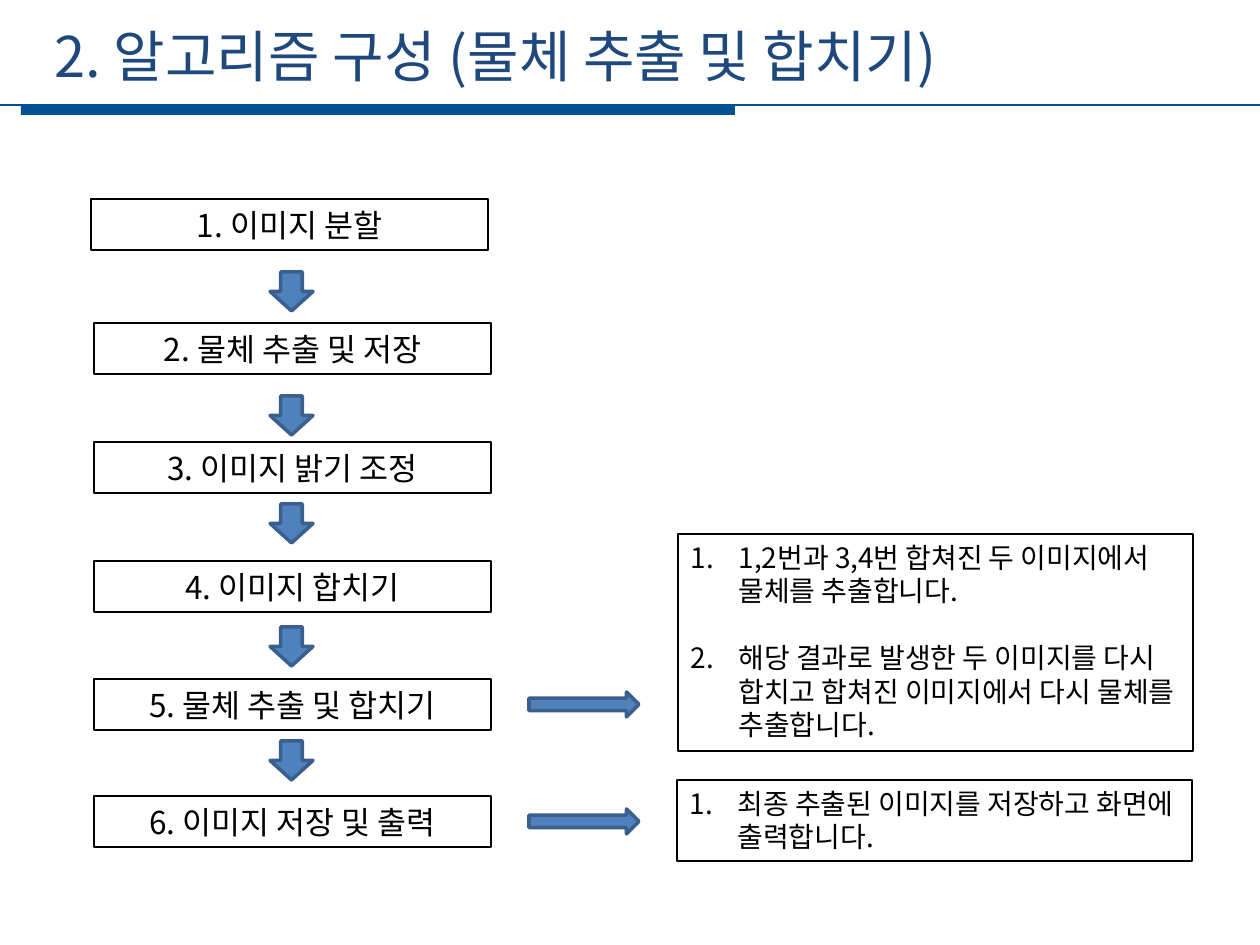
from lxml import etree
from pptx import Presentation
from pptx.dml.color import RGBColor
from pptx.enum.shapes import MSO_CONNECTOR, MSO_SHAPE
from pptx.enum.text import MSO_ANCHOR, MSO_AUTO_SIZE, PP_ALIGN
from pptx.oxml.ns import qn
from pptx.util import Emu, Pt

RECTANGLE, DOWN, RIGHT = MSO_SHAPE.RECTANGLE, MSO_SHAPE.DOWN_ARROW, MSO_SHAPE.RIGHT_ARROW
STRAIGHT = MSO_CONNECTOR.STRAIGHT
LEFT_ALIGNED, CENTERED = PP_ALIGN.LEFT, PP_ALIGN.CENTER
TOP, MIDDLE = MSO_ANCHOR.TOP, MSO_ANCHOR.MIDDLE
NO_FIT = MSO_AUTO_SIZE.NONE

NAVY = RGBColor(0x1F, 0x49, 0x7D)
RULE_BLUE = RGBColor(0x00, 0x50, 0x94)
ARROW_BLUE = RGBColor(0x4F, 0x81, 0xBD)
ARROW_EDGE = RGBColor(0x3A, 0x5F, 0x8C)
BLACK = RGBColor(0, 0, 0)

FONT = "Noto Sans CJK KR"
PX = 914400 / 126
TWO_CONTENT = 3

STEPS = [
    (91, 199, "1. 이미지 분할"),
    (94, 323, "2. 물체 추출 및 저장"),
    (94, 442, "3. 이미지 밝기 조정"),
    (94, 561, "4. 이미지 합치기"),
    (94, 679, "5. 물체 추출 및 합치기"),
    (94, 796, "6. 이미지 저장 및 출력"),
]
DOWN_ARROW_TOPS = [272, 396, 504, 627, 741]
EXPLAINED_STEPS = STEPS[-2:]
NOTES = [
    ((678, 534, 515, 217), [
        "1,2번과 3,4번 합쳐진 두 이미지에서 물체를 추출합니다.",
        "해당 결과로 발생한 두 이미지를 다시 합치고 합쳐진 이미지에서 다시 물체를 추출합니다.",
    ]),
    ((677, 780, 515, 81), ["최종 추출된 이미지를 저장하고 화면에 출력합니다."]),
]


def px(length):
    return Emu(round(length * PX))


class FlowSlide:
    """Draws the parts of a flow chart on one slide in a shared style."""

    def __init__(self, slide):
        self.slide = slide

    def place(self, shape, box):
        shape.left, shape.top, shape.width, shape.height = map(px, box)

    def add_wording(self, paragraph, wording, size, color, align):
        paragraph.alignment = align
        run = paragraph.add_run()
        run.text = wording
        run.font.size = Pt(size)
        run.font.name = FONT
        run.font.color.rgb = color
        etree.SubElement(run.font._element, qn("a:ea"), typeface=FONT)

    def frame(self, shape, anchor):
        text_frame = shape.text_frame
        text_frame.word_wrap = True
        text_frame.auto_size = NO_FIT
        text_frame.vertical_anchor = anchor
        return text_frame

    def outline(self, shape, color, width):
        shape.line.color.rgb = color
        shape.line.width = Pt(width)

    def title(self, box, wording):
        heading = self.slide.shapes.title
        self.place(heading, box)
        paragraph = self.frame(heading, MIDDLE).paragraphs[0]
        self.add_wording(paragraph, wording, 32, NAVY, LEFT_ALIGNED)

    def block(self, preset, box, fill=None):
        shape = self.slide.shapes.add_shape(preset, *map(px, box))
        shape.shadow.inherit = False
        if fill is None:
            shape.fill.background()
        else:
            shape.fill.solid()
            shape.fill.fore_color.rgb = fill
        return shape

    def bar(self, box):
        self.block(RECTANGLE, box, RULE_BLUE).line.fill.background()

    def rule(self, y, width):
        line = self.slide.shapes.add_connector(STRAIGHT, 0, px(y), px(width), px(y))
        self.outline(line, RULE_BLUE, 1.25)
        etree.SubElement(line._element.spPr, qn("a:effectLst"))

    def step(self, box, wording):
        shape = self.block(RECTANGLE, box)
        self.outline(shape, BLACK, 0.75)
        paragraph = self.frame(shape, MIDDLE).paragraphs[0]
        self.add_wording(paragraph, wording, 18, BLACK, CENTERED)

    def arrow(self, preset, box):
        self.outline(self.block(preset, box, ARROW_BLUE), ARROW_EDGE, 2)

    def numbered_list(self, placeholder, box, items):
        self.place(placeholder, box)
        self.outline(placeholder, BLACK, 0.75)
        text_frame = self.frame(placeholder, TOP)
        for number, item in enumerate(items, 1):
            paragraph = text_frame.paragraphs[0] if number == 1 else text_frame.add_paragraph()
            paragraph.space_before = Pt(0 if number == 1 else 19)
            self.add_wording(paragraph, item, 16, BLACK, LEFT_ALIGNED)
            properties = paragraph._p.get_or_add_pPr()
            indent = px(48)
            properties.set("marL", str(indent))
            properties.set("indent", str(-indent))
            etree.SubElement(properties, qn("a:buFont"), typeface=FONT)
            etree.SubElement(properties, qn("a:buAutoNum"), type="arabicPeriod", startAt=str(number))


def main():
    presentation = Presentation()
    presentation.slide_width, presentation.slide_height = px(1260), px(945)
    layout = presentation.slide_layouts[TWO_CONTENT]
    flow = FlowSlide(presentation.slides.add_slide(layout))

    flow.bar((21, 105, 714, 10))
    flow.rule(105, 1260)
    flow.title((42, 15, 1216, 81), "2. 알고리즘 구성 (물체 추출 및 합치기)")
    for left, top, wording in STEPS:
        flow.step((left, top, 397, 51), wording)
    for top in DOWN_ARROW_TOPS:
        flow.arrow(DOWN, (270, top, 43, 39))
    for _, top, _ in EXPLAINED_STEPS:
        flow.arrow(RIGHT, (529, top + 13, 110, 25))
    for index, (box, items) in enumerate(NOTES, 1):
        flow.numbered_list(flow.slide.placeholders[index], box, items)

    presentation.save("out.pptx")


if __name__ == "__main__":
    main()
